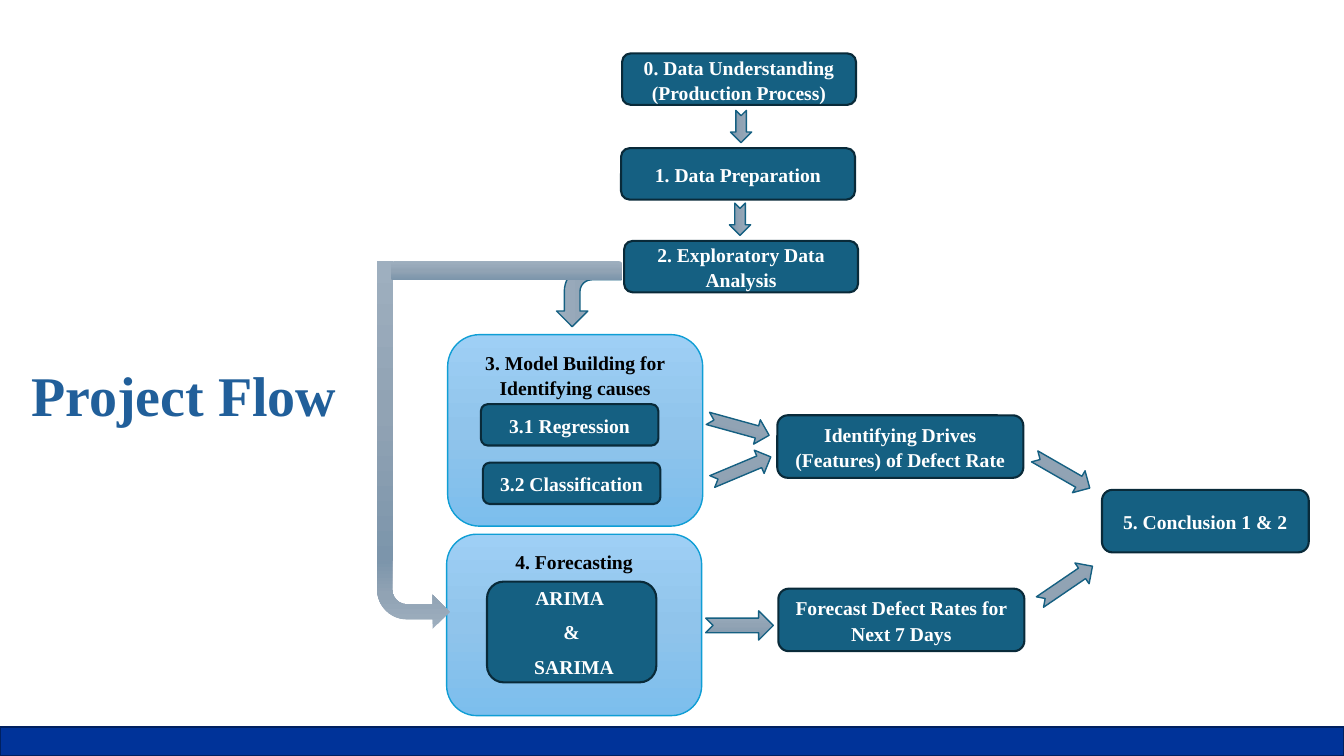
from copy import deepcopy
from dataclasses import dataclass

from pptx import Presentation
from pptx.dml.color import RGBColor
from pptx.enum.shapes import MSO_SHAPE
from pptx.enum.text import MSO_ANCHOR, PP_ALIGN
from pptx.oxml.ns import qn
from pptx.util import Inches, Pt

RECT = MSO_SHAPE.RECTANGLE
ROUNDED = MSO_SHAPE.ROUNDED_RECTANGLE
NOTCHED = MSO_SHAPE.NOTCHED_RIGHT_ARROW
BENT = MSO_SHAPE.BENT_ARROW
CENTER, LEFT = PP_ALIGN.CENTER, PP_ALIGN.LEFT
TOP, MIDDLE = MSO_ANCHOR.TOP, MSO_ANCHOR.MIDDLE


@dataclass(frozen=True)
class Theme:
    font: str = "Times New Roman"
    title_size: int = 40
    label_size: int = 14
    title: str = "215F9A"
    white: str = "FFFFFF"
    black: str = "000000"
    box: str = "156082"
    box_line: str = "092A39"
    panel: tuple = ("9ECFF5", "90C4EB", "7CBEED")
    panel_line: str = "0F9ED5"
    arrow: tuple = ("9EAFBF", "91A3B4", "7C95AB")
    footer: str = "003399"
    footer_line: str = "002060"


THEME = Theme()


def draw(kind, at, fill, line=None, line_width=1.0, rotation=0, flip=False):
    """Add a shape; a tuple fill is a three-colour gradient running downwards."""
    shape = slide.shapes.add_shape(kind, *[Inches(v) for v in at])
    shape.shadow.inherit = False
    shape.rotation = rotation
    if flip:
        shape._element.spPr.get_or_add_xfrm().set("flipV", "1")
    if isinstance(fill, tuple):
        shape.fill.gradient()
        shape.fill.gradient_angle = 270
        stop_list = shape._element.spPr.find(qn("a:gradFill")).find(qn("a:gsLst"))
        stop_list.insert(1, deepcopy(stop_list[0]))
        for stop, color, position in zip(shape.fill.gradient_stops, fill, (0, 0.5, 1)):
            stop.color.rgb = RGBColor.from_string(color)
            stop.position = position
    else:
        shape.fill.solid()
        shape.fill.fore_color.rgb = RGBColor.from_string(fill)
    if line:
        shape.line.color.rgb = RGBColor.from_string(line)
        shape.line.width = Pt(line_width)
    else:
        shape.line.fill.background()
    return shape


def write(shape, lines, color, size=THEME.label_size, align=CENTER,
          anchor=MIDDLE, spacing=1.07, after=8):
    frame = shape.text_frame
    frame.word_wrap = True
    frame.vertical_anchor = anchor
    for index, line in enumerate(lines):
        paragraph = frame.add_paragraph() if index else frame.paragraphs[0]
        paragraph.alignment = align
        paragraph.line_spacing = spacing
        paragraph.space_after = Pt(after)
        run = paragraph.add_run()
        run.text = line
        run.font.name = THEME.font
        run.font.size = Pt(size)
        run.font.bold = True
        run.font.color.rgb = RGBColor.from_string(color)


prs = Presentation()
prs.slide_width, prs.slide_height = Inches(13.33), Inches(7.5)
slide = prs.slides.add_slide(prs.slide_layouts[5])

# Title
title = slide.shapes.title
title.left, title.top, title.width, title.height = [
    Inches(v) for v in (0.21, 3.55, 3.51, 0.81)]
write(title, ["Project Flow"], THEME.title, THEME.title_size, LEFT,
      spacing=0.9, after=0)

# Panels for the two modelling branches
panels = [
    ("4. Forecasting", (4.43, 5.3, 2.53, 1.8)),
    ("3. Model Building for Identifying causes", (4.44, 3.32, 2.53, 1.9)),
]
for label, at in panels:
    panel = draw(ROUNDED, at, THEME.panel, THEME.panel_line)
    write(panel, [label], THEME.black, anchor=TOP)

# Steps, methods and results
boxes = [
    ("0. Data Understanding (Production Process)", (6.17, 0.53, 2.32, 0.51)),
    ("1. Data Preparation", (6.16, 1.47, 2.32, 0.51)),
    ("2. Exploratory Data Analysis", (6.19, 2.39, 2.32, 0.51)),
    ("3.1 Regression", (4.77, 4.01, 1.76, 0.41)),
    ("3.2 Classification", (4.79, 4.59, 1.76, 0.41)),
    ("Identifying Drives (Features) of Defect Rate", (7.71, 4.12, 2.44, 0.62)),
    ("Forecast Defect Rates for Next 7 Days", (7.72, 5.84, 2.44, 0.62)),
    ("5. Conclusion 1 & 2", (10.93, 4.86, 2.05, 0.62)),
]
for label, at in boxes:
    write(draw(ROUNDED, at, THEME.box, THEME.box_line, 1.5), [label], THEME.white)

forecast_models = draw(ROUNDED, (4.83, 5.77, 1.68, 1), THEME.box, THEME.box_line, 1.5)
write(forecast_models, ["ARIMA ", "&", " SARIMA"], THEME.white, spacing=1.0)

# Arrows between the steps
step_arrows = [
    ((7.19, 1.15, 0.32, 0.21), 90),
    ((7.18, 2.07, 0.32, 0.21), 90),
    ((7.01, 4.11, 0.63, 0.25), 15.4),
    ((7.04, 4.53, 0.63, 0.25), 337.2),
    ((7, 6.06, 0.67, 0.29), 0),
    ((10.22, 4.56, 0.63, 0.25), 29.9),
    ((10.26, 5.67, 0.63, 0.25), 325.7),
]
for at, rotation in step_arrows:
    draw(NOTCHED, at, THEME.arrow, THEME.box, rotation=rotation)

# Branch from exploratory analysis to both panels
draw(BENT, (5.53, 2.61, 0.62, 0.64), THEME.arrow, THEME.box, rotation=90, flip=True)
draw(RECT, (3.74, 2.59, 0.16, 2.98), THEME.arrow)
draw(ROUNDED, (3.88, 2.59, 2.29, 0.19), THEME.arrow)
forecast_turn = draw(BENT, (3.74, 5.56, 0.72, 0.68), THEME.arrow, flip=True)
forecast_turn.adjustments[0] = 0.22

# Footer band
draw(RECT, (0, 7.21, 13.33, 0.29), THEME.footer, THEME.footer_line, 1.5)

prs.save("out.pptx")
